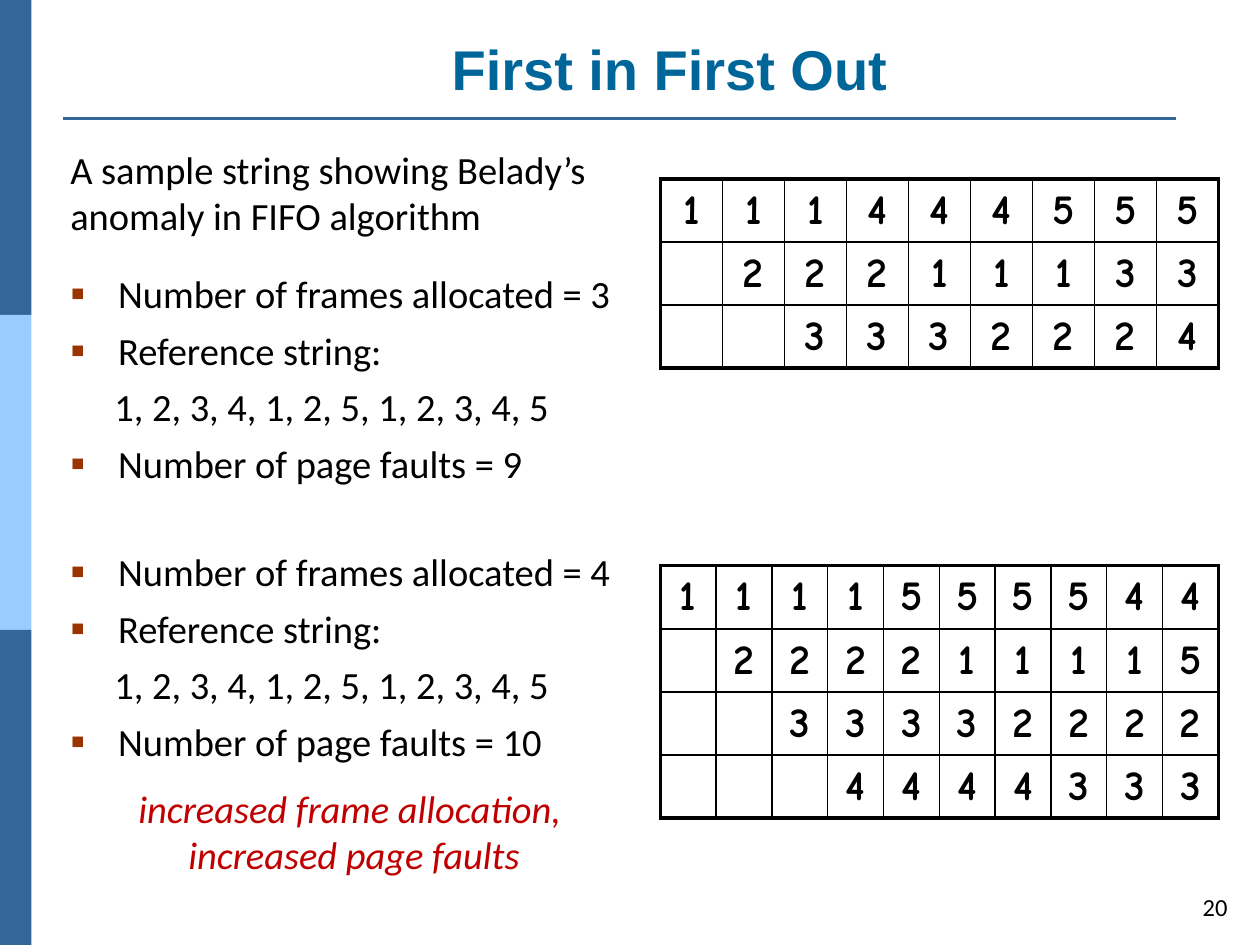
from dataclasses import dataclass

from lxml import etree
from pptx import Presentation
from pptx.dml.color import RGBColor
from pptx.enum.shapes import MSO_CONNECTOR, MSO_SHAPE
from pptx.enum.text import MSO_ANCHOR, PP_ALIGN
from pptx.oxml.ns import qn
from pptx.util import Inches, Pt

RECTANGLE = MSO_SHAPE.RECTANGLE
STRAIGHT = MSO_CONNECTOR.STRAIGHT
TOP, MIDDLE, BOTTOM = MSO_ANCHOR.TOP, MSO_ANCHOR.MIDDLE, MSO_ANCHOR.BOTTOM
LEFT, CENTER, RIGHT = PP_ALIGN.LEFT, PP_ALIGN.CENTER, PP_ALIGN.RIGHT

BLACK, WHITE = "000000", "FFFFFF"
DARK_BLUE, LIGHT_BLUE, TITLE_BLUE = "336699", "99CCFF", "006699"
BULLET_BROWN, RED = "993300", "C00000"
BULLET_INDENT = 0.38
REFERENCE_STRING = "1, 2, 3, 4, 1, 2, 5, 1, 2, 3, 4, 5"


@dataclass
class Line:
    text: str
    before: float = 6
    bullet: bool = False
    indent: float = 0
    size: float = 22
    font: str = "Calibri"
    color: str = BLACK
    bold: bool = False
    italic: bool = False
    align: PP_ALIGN = LEFT


@dataclass
class FrameTable:
    """Page held by each frame (row) after each fault (column); a space is an empty frame."""
    top: float
    frames: list[str]


def rgb(color: str) -> RGBColor:
    return RGBColor.from_string(color)


def add_bullet(paragraph) -> None:
    properties = paragraph._p.get_or_add_pPr()
    properties.set("marL", str(Inches(BULLET_INDENT)))
    properties.set("indent", str(-Inches(BULLET_INDENT)))
    color = etree.SubElement(properties, qn("a:buClr"))
    etree.SubElement(color, qn("a:srgbClr"), val=BULLET_BROWN)
    etree.SubElement(properties, qn("a:buSzPct"), val="110000")
    etree.SubElement(properties, qn("a:buFont"), typeface="Arial")
    etree.SubElement(properties, qn("a:buChar"), char="▪")


def write_line(paragraph, line: Line) -> None:
    paragraph.text = line.text
    paragraph.alignment = line.align
    if line.bullet:
        add_bullet(paragraph)
    elif line.indent:
        paragraph._p.get_or_add_pPr().set("marL", str(Inches(line.indent)))
    for run in paragraph.runs:
        run.font.name = line.font
        run.font.size = Pt(line.size)
        run.font.bold = line.bold
        run.font.italic = line.italic
        run.font.color.rgb = rgb(line.color)


def add_text(slide, left: float, top: float, width: float, height: float,
             lines: list[Line], anchor: MSO_ANCHOR = TOP) -> None:
    box = slide.shapes.add_textbox(Inches(left), Inches(top), Inches(width), Inches(height))
    frame = box.text_frame
    frame.word_wrap = True
    frame.vertical_anchor = anchor
    for index, line in enumerate(lines):
        paragraph = frame.add_paragraph() if index else frame.paragraphs[0]
        if index:
            paragraph.space_before = Pt(line.before)
        write_line(paragraph, line)


def set_borders(cell, widths: dict[str, float]) -> None:
    """Draw cell borders; widths run in schema order: lnL, lnR, lnT, lnB."""
    properties = cell._tc.get_or_add_tcPr()
    for position, (side, width) in enumerate(widths.items()):
        border = etree.Element(qn(f"a:{side}"), w=str(Pt(width)))
        fill = etree.SubElement(border, qn("a:solidFill"))
        etree.SubElement(fill, qn("a:srgbClr"), val=BLACK)
        properties.insert(position, border)


def add_frame_table(slide, spec: FrameTable) -> None:
    left, width, row_height = 5.24, 4.43, 0.48
    outer, inner = 2.25, 1
    row_count, column_count = len(spec.frames), len(spec.frames[0])
    table = slide.shapes.add_table(row_count, column_count, Inches(left), Inches(spec.top),
                                   Inches(width), Inches(row_height * row_count)).table
    table.first_row = table.horz_banding = False
    for column in table.columns:
        column.width = Inches(width / column_count)
    for row, pages in enumerate(spec.frames):
        for column, page in enumerate(pages):
            cell = table.cell(row, column)
            cell.vertical_anchor = MIDDLE
            cell.fill.solid()
            cell.fill.fore_color.rgb = rgb(WHITE)
            set_borders(cell, {
                "lnL": outer if column == 0 else inner,
                "lnR": outer if column == column_count - 1 else inner,
                "lnT": outer if row == 0 else inner,
                "lnB": outer if row == row_count - 1 else inner,
            })
            if page != " ":
                write_line(cell.text_frame.paragraphs[0],
                           Line(page, size=24, font="Comic Neue", bold=True, align=CENTER))


def add_side_band(slide, top: float, height: float, color: str) -> None:
    band = slide.shapes.add_shape(RECTANGLE, 0, Inches(top), Inches(0.25), Inches(height))
    band.shadow.inherit = False
    band.fill.solid()
    band.fill.fore_color.rgb = rgb(color)
    band.line.fill.background()


def add_title_rule(slide) -> None:
    rule = slide.shapes.add_connector(STRAIGHT, Inches(0.5), Inches(0.94),
                                      Inches(9.33), Inches(0.94))
    rule.line.color.rgb = rgb(DARK_BLUE)
    rule.line.width = Pt(1.5)
    etree.SubElement(rule._element.spPr, qn("a:effectLst"))


def experiment(frames: int, faults: int, before: float = 6) -> list[Line]:
    return [
        Line(f"Number of frames allocated = {frames}", before, bullet=True),
        Line("Reference string:", bullet=True),
        Line(REFERENCE_STRING, indent=0.35),
        Line(f"Number of page faults = {faults}", bullet=True),
    ]


def main() -> None:
    presentation = Presentation()
    presentation.slide_width, presentation.slide_height = Inches(10), Inches(7.5)
    slide = presentation.slides.add_slide(presentation.slide_layouts[6])

    band_height = 2.5
    for index, color in enumerate((DARK_BLUE, LIGHT_BLUE, DARK_BLUE)):
        add_side_band(slide, index * band_height, band_height, color)
    add_title_rule(slide)
    add_text(slide, 1.24, 0.27, 8.15, 0.59,
             [Line("First in First Out", size=32, font="Arial", color=TITLE_BLUE,
                   bold=True, align=CENTER)], BOTTOM)
    add_text(slide, 9.39, 6.99, 0.45, 0.41, [Line("20", size=14, align=RIGHT)], MIDDLE)

    introduction = Line("A sample string showing Belady’s anomaly in FIFO algorithm")
    conclusion = Line("increased frame allocation, \vincreased page faults", 12,
                      color=RED, italic=True, align=CENTER)
    add_text(slide, 0.46, 1.11, 4.7, 2.83, [introduction, *experiment(3, 9, before=18)])
    add_text(slide, 0.46, 4.3, 4.7, 2.67, [*experiment(4, 10), conclusion])

    for frame_table in (
        FrameTable(1.42, ["111444555",
                          " 22211133",
                          "  3332224"]),
        FrameTable(4.49, ["1111555544",
                          " 222211115",
                          "  33332222",
                          "   4444333"]),
    ):
        add_frame_table(slide, frame_table)

    presentation.save("out.pptx")


if __name__ == "__main__":
    main()
